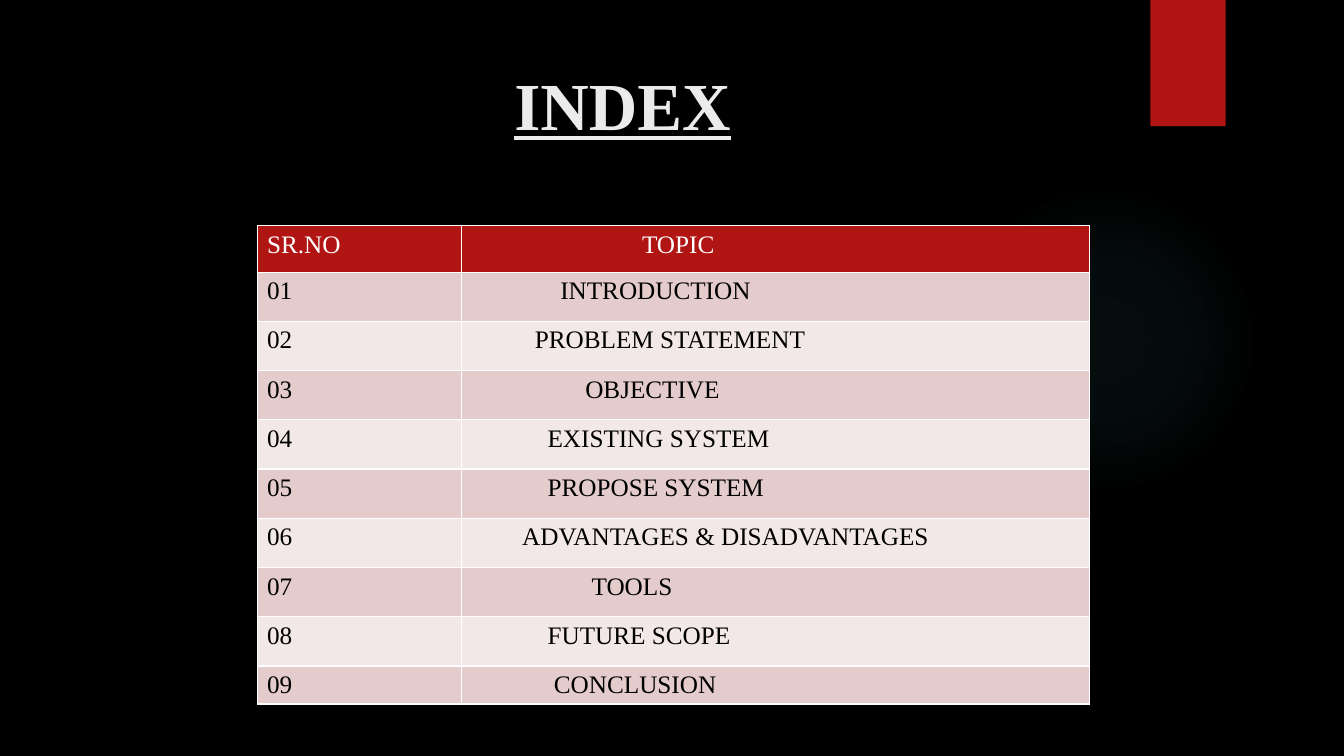
"""Build the index slide with its table of topics."""
from lxml.etree import SubElement
from pptx import Presentation
from pptx.dml.color import RGBColor
from pptx.enum.shapes import MSO_SHAPE
from pptx.enum.text import MSO_ANCHOR, MSO_AUTO_SIZE, PP_ALIGN
from pptx.oxml import parse_xml
from pptx.oxml.ns import nsdecls, qn
from pptx.util import Cm, Pt

COLORS = {
    "background": "000000", "red": "B01513", "glow": "50B9C1", "heading": "EBEBEB",
    "white": "FFFFFF", "black": "000000", "odd": "E4CCCC", "even": "F2E8E7",
}
HEADING_FONT = {"name": "Times New Roman", "size": Pt(48), "bold": True, "underline": True}
CELL_FONT = {"name": "Times New Roman", "size": Pt(18), "bold": False}
TOPICS = [
    ("SR.NO", "TOPIC", 4.54),
    ("01", "INTRODUCTION", 2.48),
    ("02", "PROBLEM STATEMENT", 1.84),
    ("03", "OBJECTIVE", 3.11),
    ("04", "EXISTING SYSTEM", 2.16),
    ("05", "PROPOSE SYSTEM", 2.16),
    ("06", "ADVANTAGES & DISADVANTAGES", 1.52),
    ("07", "TOOLS", 3.27),
    ("08", "FUTURE SCOPE", 2.16),
    ("09", "CONCLUSION", 2.32),
]


def format_font(font, values, color):
    for attribute, value in values.items():
        setattr(font, attribute, value)
    font.color.rgb = RGBColor.from_string(COLORS[color])


def add_borders(cell):
    properties = cell._tc.get_or_add_tcPr()
    for side in ("a:lnL", "a:lnR", "a:lnT", "a:lnB"):
        line = SubElement(properties, qn(side), w=str(Pt(1)))
        fill = SubElement(line, qn("a:solidFill"))
        SubElement(fill, qn("a:srgbClr"), val=COLORS["white"])


prs = Presentation()
prs.slide_width, prs.slide_height = Cm(33.87), Cm(19.05)
slide = prs.slides.add_slide(prs.slide_layouts[5])
slide.background.fill.solid()
slide.background.fill.fore_color.rgb = RGBColor.from_string(COLORS["background"])

glow = slide.shapes.add_shape(MSO_SHAPE.OVAL, Cm(23.9), Cm(4.65), Cm(7.82), Cm(7.82))
glow.shadow.inherit = False
glow.line.fill.background()
stops = "".join(
    f'<a:gs pos="{position * 1000}"><a:srgbClr val="{COLORS["glow"]}">'
    f'<a:alpha val="{alpha * 1000}"/></a:srgbClr></a:gs>'
    for position, alpha in ((0, 7), (36, 6), (69, 0), (100, 0))
)
glow._element.spPr.find(qn("a:prstGeom")).addnext(parse_xml(
    f'<a:gradFill {nsdecls("a")}><a:gsLst>{stops}</a:gsLst><a:path path="circle">'
    '<a:fillToRect l="50000" t="50000" r="50000" b="50000"/></a:path></a:gradFill>'
))

ribbon = slide.shapes.add_shape(MSO_SHAPE.RECTANGLE, Cm(28.99), Cm(0), Cm(1.9), Cm(3.18))
ribbon.shadow.inherit = False
ribbon.fill.solid()
ribbon.fill.fore_color.rgb = RGBColor.from_string(COLORS["red"])
ribbon.line.fill.background()

heading = slide.shapes.title
heading.left, heading.top, heading.width, heading.height = Cm(1.8), Cm(1.27), Cm(26.14), Cm(3.89)
heading_frame = heading.text_frame
heading_frame.text = "INDEX"
heading_format = {
    "auto_size": MSO_AUTO_SIZE.NONE, "vertical_anchor": MSO_ANCHOR.TOP,
    "margin_left": Cm(11.16), "margin_top": Cm(0.32), "word_wrap": True,
}
for attribute, value in heading_format.items():
    setattr(heading_frame, attribute, value)
heading_frame.paragraphs[0].alignment = PP_ALIGN.LEFT
format_font(heading_frame.paragraphs[0].runs[0].font, HEADING_FONT, "heading")

row_heights = [1.17] + [1.24] * 8 + [0.94]
index = slide.shapes.add_table(
    len(TOPICS), 2, Cm(6.48), Cm(5.69), Cm(20.98), Cm(sum(row_heights))
).table
index.columns[0].width, index.columns[1].width = Cm(5.16), Cm(15.82)

for row, (number, topic, indent) in enumerate(TOPICS):
    index.rows[row].height = Cm(row_heights[row])
    band = "red" if row == 0 else "odd" if row % 2 else "even"
    for column, (wording, margin) in enumerate(((number, 0.25), (topic, indent))):
        cell = index.cell(row, column)
        cell.text = wording
        cell.margin_left = Cm(margin)
        add_borders(cell)
        cell.fill.solid()
        cell.fill.fore_color.rgb = RGBColor.from_string(COLORS[band])
        paragraph = cell.text_frame.paragraphs[0]
        paragraph.alignment = PP_ALIGN.JUSTIFY if row and column else PP_ALIGN.LEFT
        format_font(paragraph.runs[0].font, CELL_FONT, "black" if row else "white")

prs.save("out.pptx")
